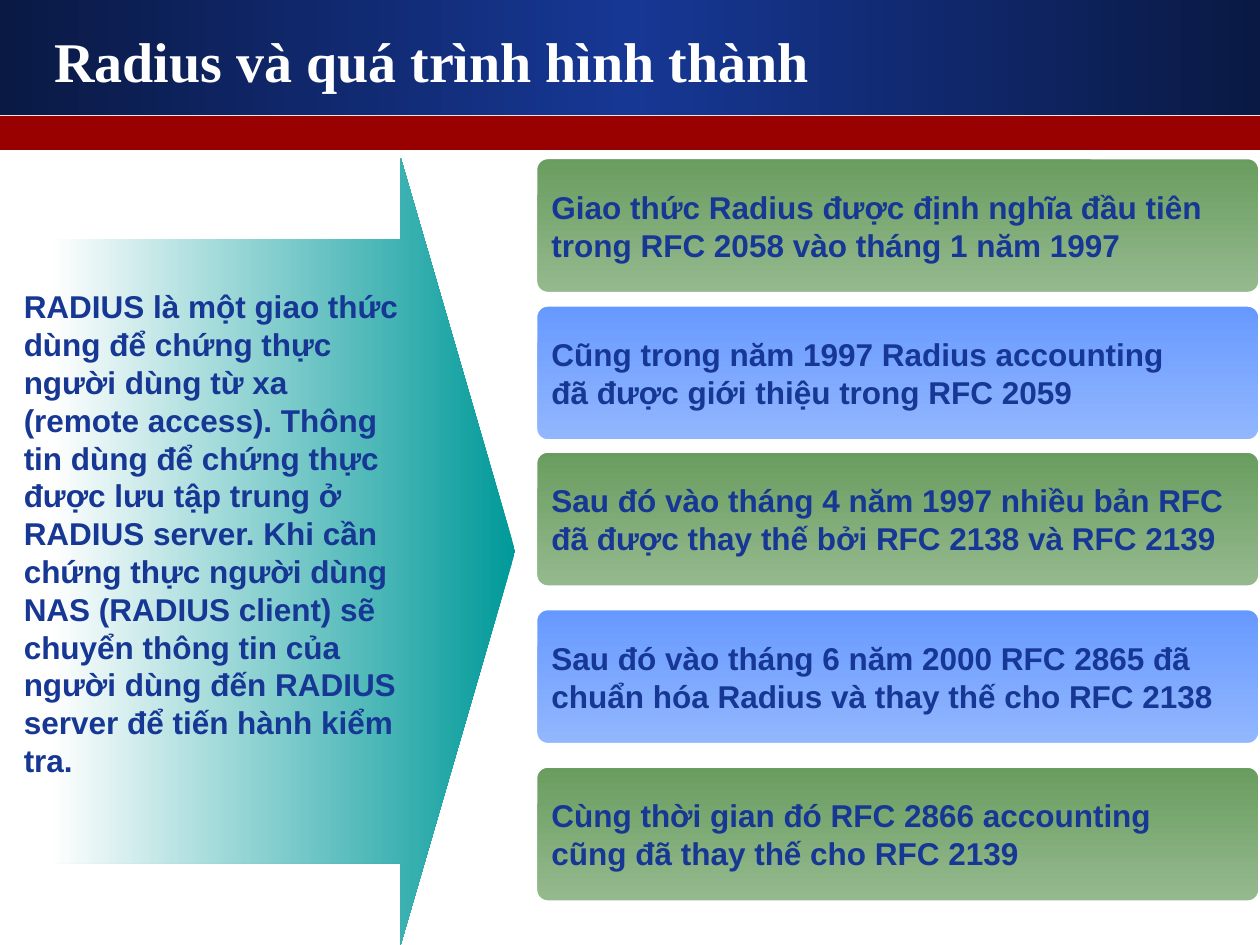
from copy import deepcopy

from pptx import Presentation
from pptx.dml.color import RGBColor
from pptx.enum.shapes import MSO_SHAPE
from pptx.enum.text import MSO_ANCHOR, MSO_AUTO_SIZE, PP_ALIGN
from pptx.oxml.ns import qn
from pptx.util import Inches, Pt

# Content
TITLE = "Radius và quá trình hình thành"
INTRO = (
    "RADIUS là một giao thức dùng để chứng thực người dùng từ xa (remote access). "
    "Thông tin dùng để chứng thực được lưu tập trung ở RADIUS server. "
    "Khi cần chứng thực người dùng NAS (RADIUS client) sẽ chuyển thông tin của "
    "người dùng đến RADIUS server để tiến hành kiểm tra."
)
# Top of each panel and its lines
PANELS = [
    (1.25, ["Giao thức Radius được định nghĩa đầu tiên", "trong RFC 2058 vào tháng 1 năm 1997"]),
    (2.42, ["Cũng trong năm 1997 Radius accounting", "đã được giới thiệu trong RFC 2059"]),
    (3.58, ["Sau đó vào tháng 4 năm 1997 nhiều bản RFC", "đã được thay thế bởi RFC 2138 và RFC 2139"]),
    (4.83, ["Sau đó vào tháng 6 năm 2000 RFC 2865 đã", "chuẩn hóa Radius và thay thế cho RFC 2138"]),
    (6.08, ["Cùng thời gian đó RFC 2866 accounting", "cũng đã thay thế cho RFC 2139"]),
]

THEME = {
    "title_font": "Times New Roman", "title_size": 32,
    "body_font": "Arial", "body_size": 18,
    "white": "FFFFFF", "text": "163794", "red": "990000",
    "header": ["0A1944", "163794", "0A1944"],
    "arrow": ["009999", "FEFEFE"],
    "panels": [["699D5F", "95B98E"], ["6699FF", "93B7FE"]],
}


def rgb(value):
    return RGBColor.from_string(value)


def write(sp, lines, font=THEME["body_font"], size=THEME["body_size"],
          color=THEME["text"], wrap=True):
    tf = sp.text_frame
    tf.word_wrap = wrap
    tf.auto_size = MSO_AUTO_SIZE.NONE
    tf.vertical_anchor = MSO_ANCHOR.MIDDLE
    for i, line in enumerate(lines):
        p = tf.add_paragraph() if i else tf.paragraphs[0]
        p.alignment = PP_ALIGN.LEFT
        r = p.add_run()
        r.text = line
        r.font.name, r.font.size, r.font.bold = font, Pt(size), True
        r.font.color.rgb = rgb(color)


def add_gradient(sp, colors, angle):
    """Spread the colours evenly; angle is counter-clockwise."""
    sp.fill.gradient()
    sp.fill.gradient_angle = angle
    stop_list = next(sp._element.iter(qn("a:gsLst")))
    for _ in colors[2:]:
        stop_list.append(deepcopy(stop_list[-1]))
    for i, (stop, color) in enumerate(zip(sp.fill.gradient_stops, colors)):
        stop.position = i / (len(colors) - 1)
        stop.color.rgb = rgb(color)


def add_shape(s, kind, box, fill, angle=0, adjustments=()):
    sp = s.shapes.add_shape(kind, *map(Inches, box))
    sp.shadow.inherit = False
    sp.line.fill.background()
    for i, value in enumerate(adjustments):
        sp.adjustments[i] = value
    if isinstance(fill, list):
        add_gradient(sp, fill, angle)
    else:
        sp.fill.solid()
        sp.fill.fore_color.rgb = rgb(fill)
    return sp


def main():
    prs = Presentation()
    prs.slide_width, prs.slide_height = Inches(10), Inches(7.5)
    s = prs.slides.add_slide(prs.slide_layouts[5])

    # Header bands, with the title in front of them
    add_shape(s, MSO_SHAPE.RECTANGLE, (0, 0, 10, 0.91), THEME["header"])
    add_shape(s, MSO_SHAPE.RECTANGLE, (0, 0.92, 10, 0.27), THEME["red"])
    title = s.shapes.title
    title.left, title.top, title.width, title.height = map(Inches, (0.33, 0.17, 9.25, 0.62))
    write(title, [TITLE], font=THEME["title_font"], size=THEME["title_size"],
          color=THEME["white"])
    s.shapes._spTree.append(title._element)

    # Arrow and introduction
    add_shape(s, MSO_SHAPE.RIGHT_ARROW, (0.42, 1.25, 3.67, 6.25), THEME["arrow"],
              angle=180, adjustments=(0.793, 0.248))
    intro = s.shapes.add_textbox(*map(Inches, (0.09, 1.92, 3.22, 4.62)))
    write(intro, [INTRO])

    # History panels in alternating colours
    for i, (top, lines) in enumerate(PANELS):
        panel = add_shape(s, MSO_SHAPE.ROUNDED_RECTANGLE, (4.25, top, 5.75, 1.08),
                          THEME["panels"][i % 2], angle=270, adjustments=(0.09,))
        panel.line.color.rgb = rgb(THEME["white"])
        panel.line.width = Pt(2)
        write(panel, lines, wrap=False)

    prs.save("out.pptx")


if __name__ == "__main__":
    main()
